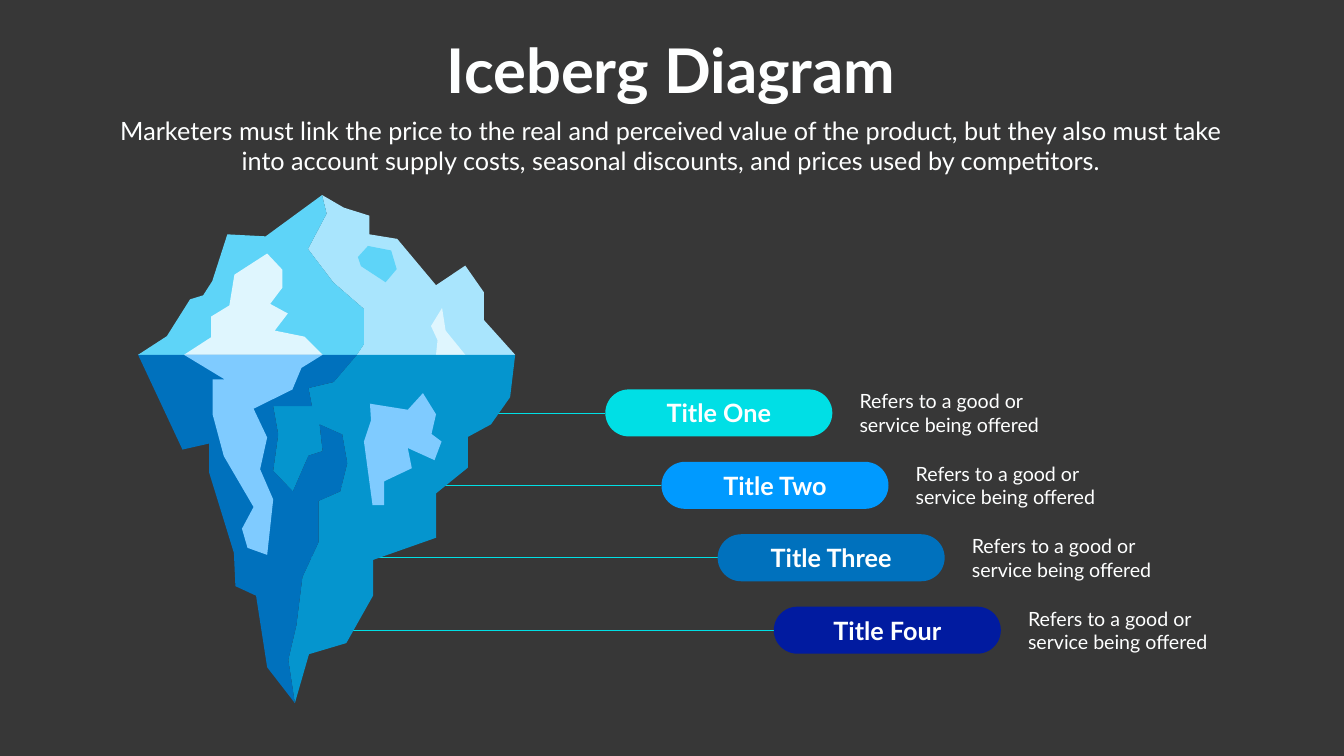
from pptx import Presentation
from pptx.dml.color import RGBColor
from pptx.enum.shapes import MSO_CONNECTOR, MSO_SHAPE
from pptx.enum.text import MSO_ANCHOR, MSO_AUTO_SIZE, PP_ALIGN
from pptx.oxml.ns import qn
from pptx.util import Cm, Pt
from lxml import etree

FONT = "Lato"
GRID = Cm(0.0254)

BACKGROUND = RGBColor.from_string("373737")
WHITE = RGBColor.from_string("FEFFFF")
CYAN = RGBColor.from_string("00DFE5")
AZURE = RGBColor.from_string("009AFF")
BLUE = RGBColor.from_string("0071BD")
NAVY = RGBColor.from_string("011BA0")
PALE_ICE = RGBColor.from_string("A9E5FD")
BRIGHT_ICE = RGBColor.from_string("5ED4F8")
SNOW = RGBColor.from_string("DFF6FE")
SEA = RGBColor.from_string("0595CE")
SOFT_BLUE = RGBColor.from_string("7FCBFF")

WATER = 704
WEST, EAST = (274, WATER), (1022, WATER)
CREVICE = (708, WATER)
SNOW_WEST, SNOW_EAST = (365, WATER), (640, WATER)

RIDGE = [(639, 387), (648, 424), (611, 494), (661, 560), (722, 613), (722, 683), CREVICE]
KEEL = [CREVICE, (662, 758), (612, 770), (619, 806), (542, 806), (552, 862),
        (542, 934), (581, 975), (612, 904), (640, 895), (634, 842), (679, 862),
        (689, 919), (675, 975), (632, 994), (632, 1076), (600, 1145),
        (588, 1241), (572, 1309), (585, 1395)]

ICEBERG = [
    (PALE_ICE, RIDGE + [
        EAST, (960, 635), (960, 580), (923, 527), (865, 566), (788, 474),
        (733, 465), (733, 428), (682, 412)]),
    (BRIGHT_ICE, RIDGE + [
        WEST, (331, 667), (377, 594), (403, 586), (421, 558), (451, 465), (527, 469)]),
    (SNOW, [
        SNOW_WEST, (419, 669), (419, 628), (455, 606), (465, 545), (530, 503),
        (560, 535), (560, 571), (536, 603), (571, 622), (545, 656), (604, 668),
        SNOW_EAST]),
    (BRIGHT_ICE, [
        (765, 560), (787, 534), (776, 497), (730, 488), (710, 510), (716, 528)]),
    (SNOW, [
        (877, 611), (884, 656), (923, WATER), (865, WATER), (868, 675), (855, 647)]),
    (SEA, KEEL + [
        (613, 1298), (687, 1276), (740, 1182), (740, 1111), (865, 1067),
        (865, 979), (928, 928), (928, 867), (974, 842), (1012, 788), EAST]),
    (BLUE, KEEL + [
        (530, 1324), (508, 1182), (467, 1163), (464, 1097), (415, 938),
        (415, 880), (362, 892), WEST]),
    (SOFT_BLUE, [
        SNOW_WEST, (446, 753), (422, 753), (422, 823), (444, 905), (503, 1006),
        (480, 1049), (491, 1087), (530, 1101), (542, 991), (516, 931), (530, 868),
        (503, 811), (580, 773), (598, 730), SNOW_EAST]),
    (SOFT_BLUE, [
        (809, 889), (817, 929), (762, 955), (762, 1002), (739, 1002), (722, 876),
        (736, 834), (734, 801), (809, 813), (839, 780), (865, 822), (856, 861),
        (876, 876), (862, 913)]),
]

LEVELS = [("Title One", CYAN), ("Title Two", AZURE), ("Title Three", BLUE), ("Title Four", NAVY)]
DESCRIPTION = ["Refers to a good or", "service being offered"]
LEVEL_X, STEP_X = 30.5, 2.83
LEVEL_Y, STEP_Y = 20.81, 3.65
LEADER_LEFT = 15.16
PILL_W, PILL_H = 11.44, 2.37
TEXT_W, TEXT_H = 10.08, 2.64


def write(tf, lines, size, bold=False, align=PP_ALIGN.CENTER, wrap=True):
    tf.word_wrap = wrap
    tf.auto_size = MSO_AUTO_SIZE.NONE
    for i, line in enumerate(lines):
        p = tf.paragraphs[0] if i == 0 else tf.add_paragraph()
        p.text = line
        p.alignment = align
        p.space_before = Pt(0)
        p.font.name = FONT
        p.font.size = Pt(size)
        p.font.bold = bold
        p.font.color.rgb = WHITE


def place(sp, left, top, width, height):
    sp.left, sp.top, sp.width, sp.height = Cm(left), Cm(top), Cm(width), Cm(height)
    sp.text_frame.vertical_anchor = MSO_ANCHOR.TOP


def paint(sp, color):
    sp.shadow.inherit = False
    sp.fill.solid()
    sp.fill.fore_color.rgb = color
    sp.line.fill.background()


def add_facet(s, color, points):
    builder = s.shapes.build_freeform(*points[0], scale=GRID)
    builder.add_line_segments(points[1:], close=True)
    paint(builder.convert_to_shape(), color)


def add_leader(s, right, y):
    line = s.shapes.add_connector(
        MSO_CONNECTOR.STRAIGHT, Cm(LEADER_LEFT), Cm(y), Cm(right), Cm(y))
    line.line.color.rgb = CYAN
    line.line.width = Pt(0.88)
    etree.SubElement(line._element.spPr, qn("a:effectLst"))


def add_pill(s, text, color, left, y):
    sp = s.shapes.add_shape(MSO_SHAPE.ROUNDED_RECTANGLE, Cm(left), Cm(y - PILL_H / 2),
                            Cm(PILL_W), Cm(PILL_H))
    sp.adjustments[0] = 0.5
    paint(sp, color)
    sp.text_frame.vertical_anchor = MSO_ANCHOR.MIDDLE
    write(sp.text_frame, [text], 36, bold=True)


def add_description(s, left, y):
    sp = s.shapes.add_textbox(Cm(left), Cm(y - TEXT_H / 2), Cm(TEXT_W), Cm(TEXT_H))
    write(sp.text_frame, DESCRIPTION, 28, align=PP_ALIGN.LEFT)


def main():
    prs = Presentation()
    prs.slide_width, prs.slide_height = Cm(67.72), Cm(38.1)
    s = prs.slides.add_slide(prs.slide_layouts[0])
    s.background.fill.solid()
    s.background.fill.fore_color.rgb = BACKGROUND

    title, subtitle = s.placeholders
    place(title, 22, 1.47, 23.62, 4.01)
    write(title.text_frame, ["Iceberg Diagram"], 88, bold=True, wrap=False)
    place(subtitle, 5.59, 5.69, 56.41, 3.33)
    write(subtitle.text_frame, [
        "Marketers must link the price to the real and perceived value of the product, "
        "but they also must take into account supply costs, seasonal discounts, "
        "and prices used by competitors."], 36)

    spots = [(LEVEL_X + i * STEP_X, LEVEL_Y + i * STEP_Y) for i in range(len(LEVELS))]
    for left, y in spots:
        add_leader(s, left, y)
    for color, points in ICEBERG:
        add_facet(s, color, points)
    for (text, color), (left, y) in zip(LEVELS, spots):
        add_pill(s, text, color, left, y)
        add_description(s, left + PILL_W + 1.12, y)

    prs.save("out.pptx")


if __name__ == "__main__":
    main()
